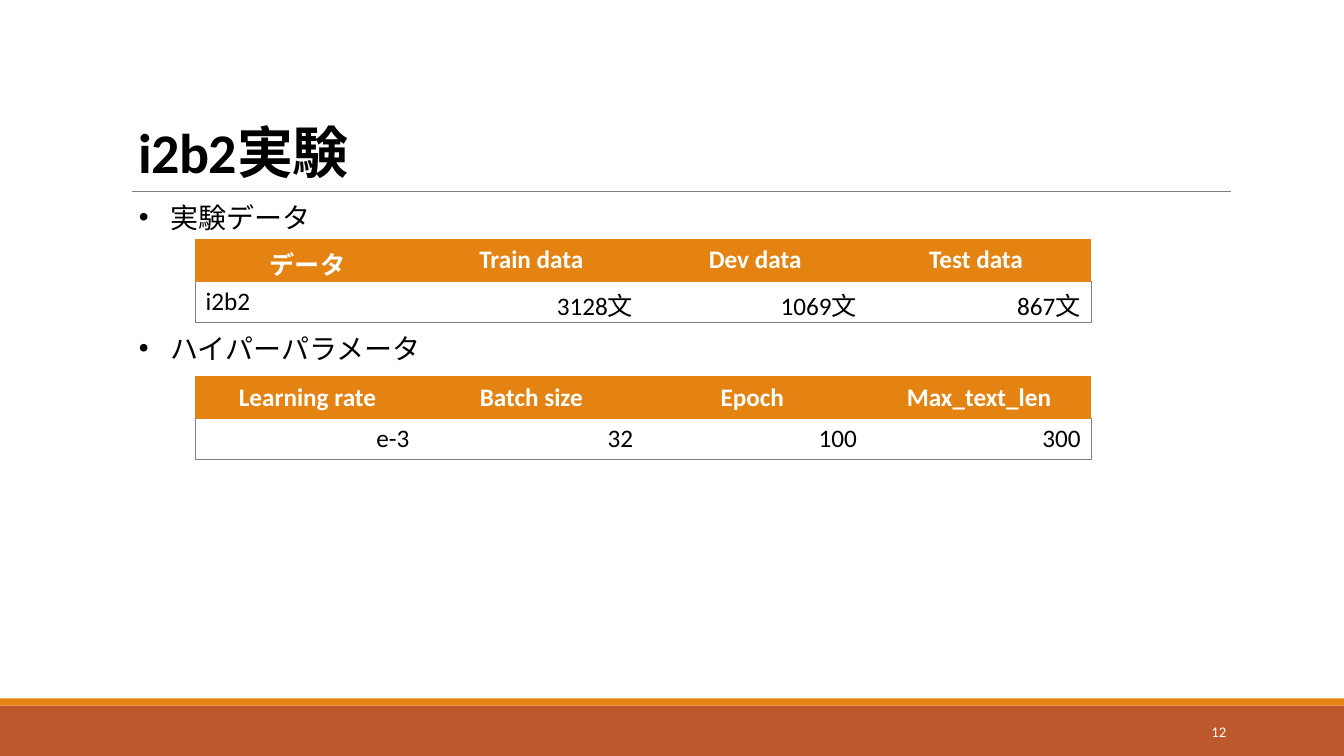
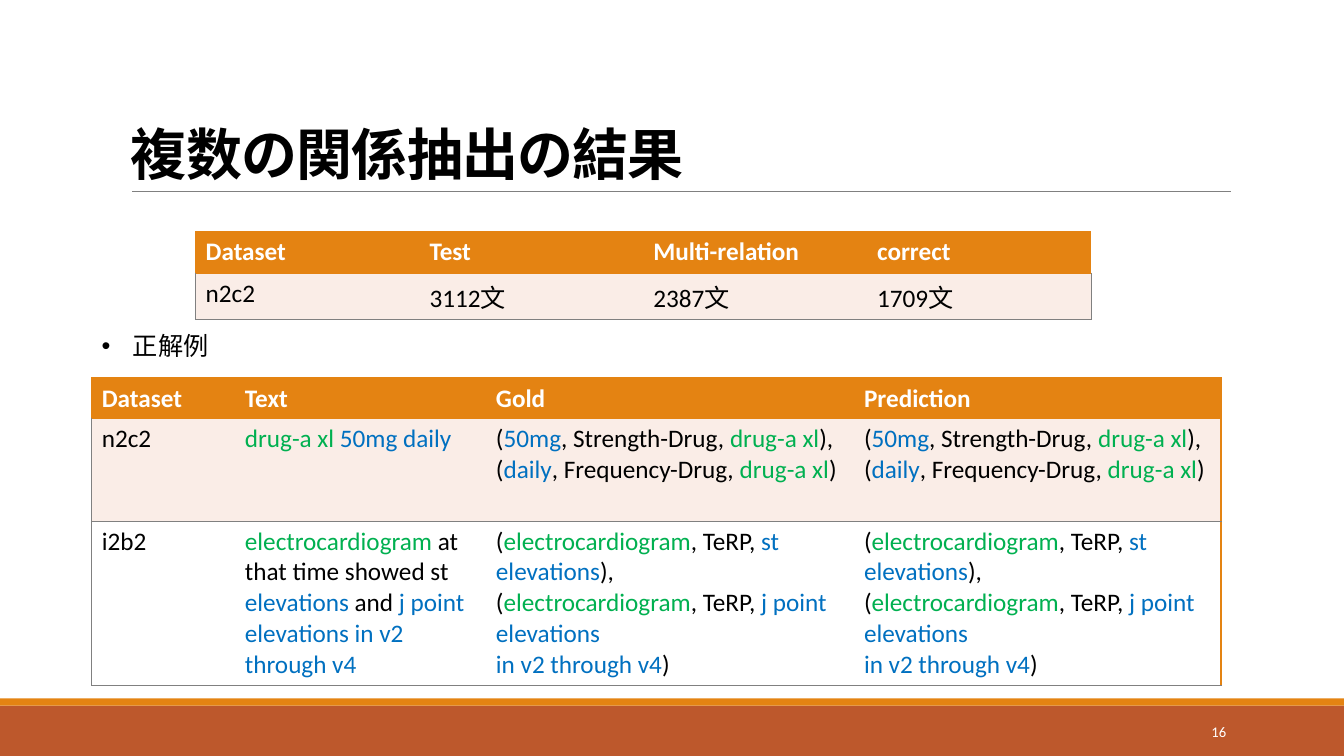
import pptx
import pptx.dml.color
import pptx.enum.shapes
import pptx.enum.text
import pptx.oxml
import pptx.oxml.ns
import pptx.util

Inches = pptx.util.Inches
Pt = pptx.util.Pt
RGBColor = pptx.dml.color.RGBColor
Align = pptx.enum.text.PP_ALIGN
Anchor = pptx.enum.text.MSO_ANCHOR
qn = pptx.oxml.ns.qn

RUST = RGBColor(0xBD, 0x58, 0x2C)
ORANGE = RGBColor(0xE4, 0x83, 0x12)
PALE = RGBColor(0xFA, 0xED, 0xE7)
GRAY = RGBColor(0x80, 0x80, 0x80)
WHITE = RGBColor(0xFF, 0xFF, 0xFF)
BLACK = RGBColor(0x00, 0x00, 0x00)
GREEN = RGBColor(0x00, 0xB0, 0x50)
BLUE = RGBColor(0x00, 0x70, 0xC0)

LATIN_FONT = "Calibri"
ASIAN_FONT = "Noto Sans CJK JP"


def add_xml(parent, tag, **attrs):
    child = parent.makeelement(qn(tag), attrs)
    parent.append(child)
    return child


def write(tf, text, size=18, color=BLACK, bold=False, align=Align.LEFT,
          line_spacing=None, tracking=None, bullet=False):
    """Fill a frame with a string, or with paragraphs of (text, colour) runs."""
    paragraphs = [[(text, color)]] if isinstance(text, str) else text
    for i, runs in enumerate(paragraphs):
        p = tf.add_paragraph() if i else tf.paragraphs[0]
        if bullet:
            pPr = p._p.get_or_add_pPr()
            pPr.set("marL", str(Inches(0.31)))
            pPr.set("indent", str(-Inches(0.31)))
            add_xml(pPr, "a:buFont", typeface="Arial")
            add_xml(pPr, "a:buChar", char="•")
        p.alignment = align
        if line_spacing:
            p.line_spacing = line_spacing
        for run_text, run_color in runs:
            r = p.add_run()
            r.text = run_text
            r.font.size = Pt(size)
            r.font.bold = bold
            r.font.name = LATIN_FONT
            r.font.color.rgb = run_color
            rPr = r._r.get_or_add_rPr()
            add_xml(rPr, "a:ea", typeface=ASIAN_FONT)
            if tracking:
                rPr.set("spc", str(tracking))


def set_borders(cell, **edges):
    """Draw the given edges (L, R, T, B) and clear the others."""
    tcPr = cell._tc.get_or_add_tcPr()
    for side in "LRTB":
        color = edges.get(side)
        ln = add_xml(tcPr, "a:ln" + side, w=str(Pt(1 if color == ORANGE else 0.5)))
        if color is None:
            add_xml(ln, "a:noFill")
        else:
            add_xml(add_xml(ln, "a:solidFill"), "a:srgbClr", val=str(color))


class Deck:
    """Holds the shared style and the slide being built."""

    def __init__(self):
        self.prs = pptx.Presentation()
        self.prs.slide_width = Inches(13.33)
        self.prs.slide_height = Inches(7.5)
        self.s = None

    def new_slide(self, title, number, title_box):
        self.s = self.prs.slides.add_slide(self.prs.slide_layouts[6])
        self.band(7, 0.5, RUST)
        self.band(6.93, 0.07, ORANGE)
        self.rule(1.31, 12.21, 1.9)
        self.text(title, title_box, anchor=Anchor.BOTTOM, size=40, bold=True,
                  line_spacing=0.85, tracking=-50)
        self.text(str(number), (10.83, 7.06, 1.43, 0.4), anchor=Anchor.MIDDLE,
                  size=10.5, color=WHITE, align=Align.RIGHT)

    def band(self, top, height, color):
        sp = self.s.shapes.add_shape(
            pptx.enum.shapes.MSO_SHAPE.RECTANGLE,
            0, Inches(top), self.prs.slide_width, Inches(height))
        sp.shadow.inherit = False
        sp.fill.solid()
        sp.fill.fore_color.rgb = color
        sp.line.fill.background()

    def rule(self, left, right, y):
        line = self.s.shapes.add_connector(
            pptx.enum.shapes.MSO_CONNECTOR.STRAIGHT,
            Inches(left), Inches(y), Inches(right), Inches(y))
        line.line.color.rgb = GRAY
        line.line.width = Pt(0.5)
        add_xml(line._element.spPr, "a:effectLst")

    def text(self, text, box, anchor=Anchor.TOP, **style):
        tf = self.s.shapes.add_textbox(*map(Inches, box)).text_frame
        tf.word_wrap = True
        tf.vertical_anchor = anchor
        write(tf, text, **style)

    def table(self, rows, left, top, widths, heights, fills=(None,),
              header_align=Align.LEFT, aligns=None, right_edge=GRAY,
              bottom_margin=0.05):
        """Add a table with an orange header; fills holds one colour per body row."""
        frame = self.s.shapes.add_table(
            len(rows), len(widths), Inches(left), Inches(top),
            Inches(sum(widths)), Inches(sum(heights)))
        table = frame.table
        table.first_row = True
        table.horz_banding = False
        for column, width in zip(table.columns, widths):
            column.width = Inches(width)
        for row, height in zip(table.rows, heights):
            row.height = Inches(height)
        aligns = aligns or [Align.LEFT] * len(widths)
        last = len(widths) - 1
        for i, row in enumerate(rows):
            header = i == 0
            fill = ORANGE if header else fills[i - 1]
            for j, text in enumerate(row):
                cell = table.cell(i, j)
                cell.margin_bottom = Inches(bottom_margin)
                write(cell.text_frame, text, bold=header,
                      color=WHITE if header else BLACK,
                      align=header_align if header else aligns[j])
                edge = ORANGE if header else GRAY
                set_borders(
                    cell,
                    L=edge if j == 0 else None,
                    R=(ORANGE if header else right_edge) if j == last else None,
                    T=ORANGE if i < 2 else GRAY,
                    B=edge)
                if fill is None:
                    cell.fill.background()
                else:
                    cell.fill.solid()
                    cell.fill.fore_color.rgb = fill


def experiment_slide(deck):
    deck.new_slide("i2b2実験", 12, (1.28, 1.05, 11, 0.83))
    layout = dict(left=1.94, widths=[2.22] * 4, heights=[0.41] * 2,
                  header_align=Align.CENTER, bottom_margin=0)
    deck.text("実験データ", (1.28, 1.94, 10.61, 0.44), size=20, bullet=True)
    deck.table([["データ", "Train data", "Dev data", "Test data "],
                ["i2b2", "3128文", "1069文", "867文"]],
               top=2.38, aligns=[Align.LEFT] + [Align.RIGHT] * 3, **layout)
    deck.text("ハイパーパラメータ", (1.28, 3.24, 9.69, 0.44), size=20, bullet=True)
    deck.table([["Learning rate", "Batch size", "Epoch ", "Max_text_len"],
                ["e-3", "32", "100", "300"]],
               top=3.74, aligns=[Align.RIGHT] * 4, **layout)


def triple(head, relation, tail, head_color, tail_color, end=""):
    """Runs of one (head, relation, tail) triple."""
    runs = [("(", BLACK), (head, head_color), (f", {relation}, ", BLACK),
            (tail, tail_color)]
    return runs + [(end, BLACK)] if end else runs


def result_slide(deck):
    deck.new_slide("複数の関係抽出の結果", 16, (1.2, 0.31, 11, 1.59))
    deck.table([["Dataset", "Test", "Multi-relation", "correct"],
                ["n2c2", "3112文", "2387文", "1709文"]],
               left=1.94, top=2.3, widths=[2.22] * 4, heights=[0.41, 0.46],
               fills=[PALE])

    drug = "drug-a xl"
    drug_text = [[(drug + " ", GREEN), ("50mg daily", BLUE)]]
    drug_triples = [
        triple("50mg", "Strength-Drug", drug, BLUE, GREEN, "),"),
        triple("daily", "Frequency-Drug", drug, BLUE, GREEN, ")")]
    test_text = [[("electrocardiogram", GREEN),
                  (" at that time showed st ", BLACK), ("elevations", BLUE),
                  (" and ", BLACK),
                  ("j point elevations in v2 through v4", BLUE)]]
    test_triples = [
        triple("electrocardiogram", "TeRP", "st elevations", GREEN, BLUE, "),"),
        triple("electrocardiogram", "TeRP", "j point elevations", GREEN, BLUE),
        [("in v2 through v4", BLUE), (")", BLACK)]]
    deck.table([["Dataset", "Text", "Gold", "Prediction"],
                ["n2c2", drug_text, drug_triples, drug_triples],
                ["i2b2", test_text, test_triples, test_triples]],
               left=0.91, top=3.75, widths=[1.42, 2.49, 3.65, 3.64],
               heights=[0.4, 1.02, 1.63], fills=[PALE, WHITE],
               right_edge=ORANGE)
    deck.text("正解例", (0.91, 3.23, 2.57, 0.4), bullet=True)


def main():
    deck = Deck()
    experiment_slide(deck)
    result_slide(deck)
    deck.prs.save("out.pptx")


if __name__ == "__main__":
    main()
